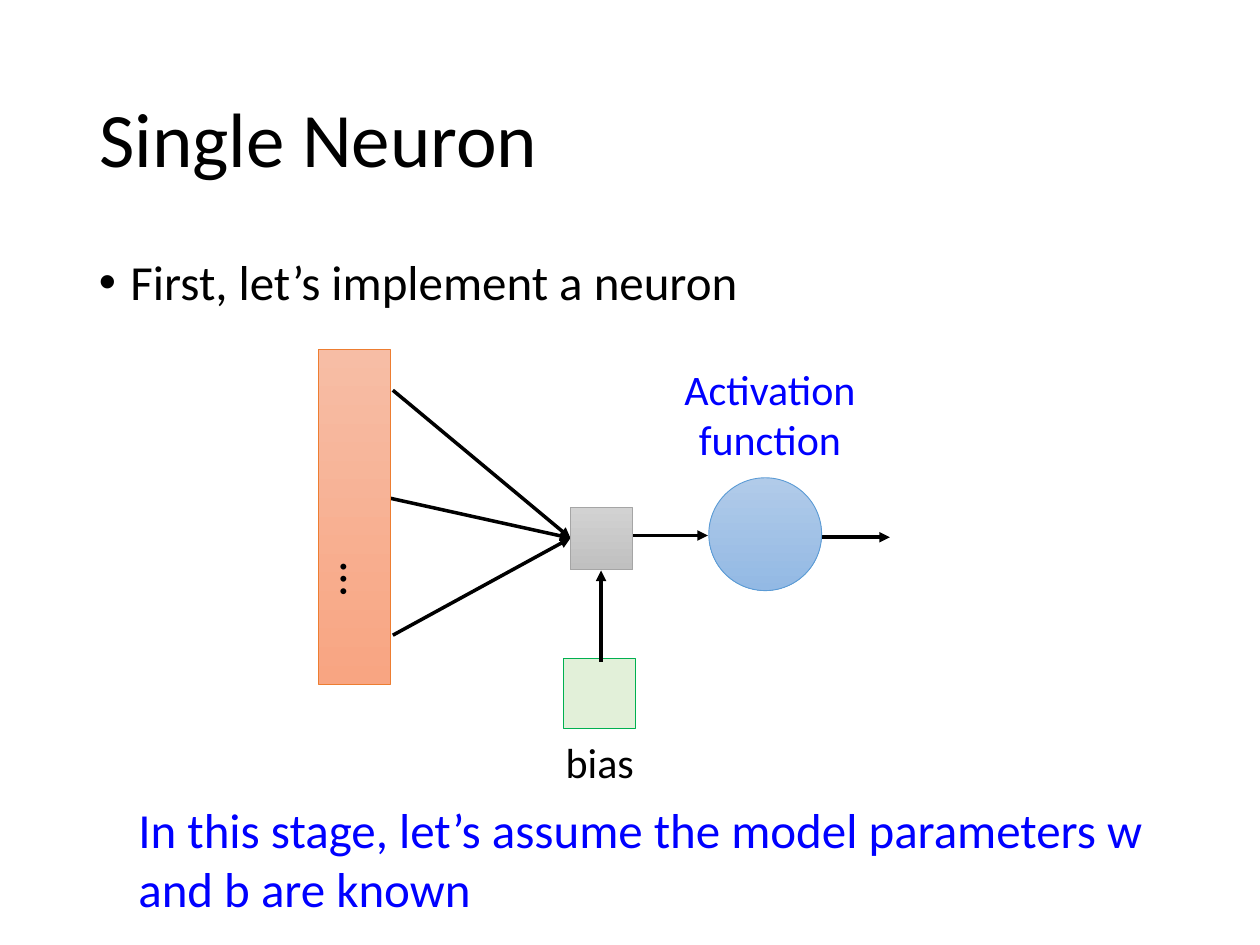
from pptx import Presentation
from pptx.dml.color import RGBColor
from pptx.enum.shapes import MSO_CONNECTOR, MSO_SHAPE
from pptx.enum.text import MSO_ANCHOR, PP_ALIGN
from pptx.oxml.ns import qn
from pptx.util import Pt
from lxml.etree import SubElement

BLACK, BLUE = "000000", "0000FF"
TITLE = "Single Neuron"
BULLET = "First, let’s implement a neuron"

# shape, (left, top, width, height), fill colours from top to bottom, outline
NODES = [
    (MSO_SHAPE.RECTANGLE, (182, 199.5, 41, 191.5), ["F7BDA5", "F8A582"], "ED7D31"),
    (MSO_SHAPE.RECTANGLE, (326, 290, 35.5, 35.5), ["D2D2D2", "C0C0C0"], "A5A5A5"),
    (MSO_SHAPE.OVAL, (405, 273, 64.5, 64.5), ["B1CBE9", "93B9E4"], "5B9BD5"),
    (MSO_SHAPE.RECTANGLE, (322, 376.5, 41, 40), ["E2F0D9"], "00B050"),
]
SUM_INPUT = (326, 307.5)
ARROWS = [(start, SUM_INPUT) for start in [(224.5, 223), (222, 284.5), (224.5, 363)]] + [
    ((350, 306), (404.5, 306)),
    ((453.5, 307), (508.5, 307)),
    ((343.5, 378), (343.5, 326)),
]
# text, (left, top, width, height), size, colour, alignment, rotation
LABELS = [
    ("…", (182, 313, 52.5, 36), 28, BLACK, PP_ALIGN.CENTER, 90),
    ("bias", (315.5, 417.5, 54.5, 32), 24, BLACK, PP_ALIGN.CENTER, 0),
    ("Activation function", (375, 204, 130, 57), 24, BLUE, PP_ALIGN.CENTER, 0),
    ("In this stage, let’s assume the model parameters w and b are known",
     (72, 453.5, 600.5, 75), 28, BLUE, PP_ALIGN.LEFT, 0),
]


def rgb(color):
    return RGBColor.from_string(color)


def points(lengths):
    return [Pt(length) for length in lengths]


def write(frame, text, size, color, align=PP_ALIGN.LEFT):
    frame.word_wrap = True
    paragraph = frame.paragraphs[0]
    paragraph.text = text
    paragraph.alignment = align
    font = paragraph.font
    font.name, font.size, font.color.rgb = "Calibri", Pt(size), rgb(color)
    return paragraph


def add_label(slide, text, box, size, color, align, rotation=0):
    label = slide.shapes.add_textbox(*points(box))
    label.rotation = rotation
    return write(label.text_frame, text, size, color, align)


def add_node(slide, kind, box, fills, outline):
    node = slide.shapes.add_shape(kind, *points(box))
    node.shadow.inherit = False
    if len(fills) == 1:
        node.fill.solid()
        node.fill.fore_color.rgb = rgb(fills[0])
    else:
        node.fill.gradient()
        node.fill.gradient_angle = 270
        for stop, color in zip(node.fill.gradient_stops, fills):
            stop.color.rgb = rgb(color)
    node.line.color.rgb = rgb(outline)
    node.line.width = Pt(0.5)


def add_arrow(slide, start, end):
    arrow = slide.shapes.add_connector(MSO_CONNECTOR.STRAIGHT, *points(start + end))
    arrow.line.color.rgb = rgb(BLACK)
    arrow.line.width = Pt(2)
    SubElement(arrow.line._get_or_add_ln(), qn("a:tailEnd"), type="triangle")
    SubElement(arrow._element.spPr, qn("a:effectLst"))


def add_bullet(slide, text, box):
    paragraph = add_label(slide, text, box, 28, BLACK, PP_ALIGN.LEFT)
    paragraph.line_spacing = 0.9
    properties = paragraph._p.get_or_add_pPr()
    properties.set("marL", str(Pt(18)))
    properties.set("indent", str(-Pt(18)))
    font = SubElement(properties, qn("a:buFont"), typeface="Arial")
    mark = SubElement(properties, qn("a:buChar"), char="•")
    properties.find(qn("a:defRPr")).addprevious(font)
    font.addnext(mark)


def main():
    deck = Presentation()
    deck.slide_width, deck.slide_height = Pt(720), Pt(540)
    slide = deck.slides.add_slide(deck.slide_layouts[5])

    title = slide.shapes.title
    title.left, title.top, title.width, title.height = points((49.5, 29, 621, 104.5))
    title.text_frame.vertical_anchor = MSO_ANCHOR.MIDDLE
    write(title.text_frame, TITLE, 44, BLACK).line_spacing = 0.9

    add_bullet(slide, BULLET, (49.5, 144, 621, 40))
    for start, end in ARROWS:
        add_arrow(slide, start, end)
    for node in NODES:
        add_node(slide, *node)
    # The bias arrow overlaps its square, so it is drawn above the nodes.
    bias_arrow = slide.shapes[1 + len(ARROWS)]._element
    slide.shapes._spTree.append(bias_arrow)
    for label in LABELS:
        add_label(slide, *label)
    deck.save("out.pptx")


if __name__ == "__main__":
    main()
